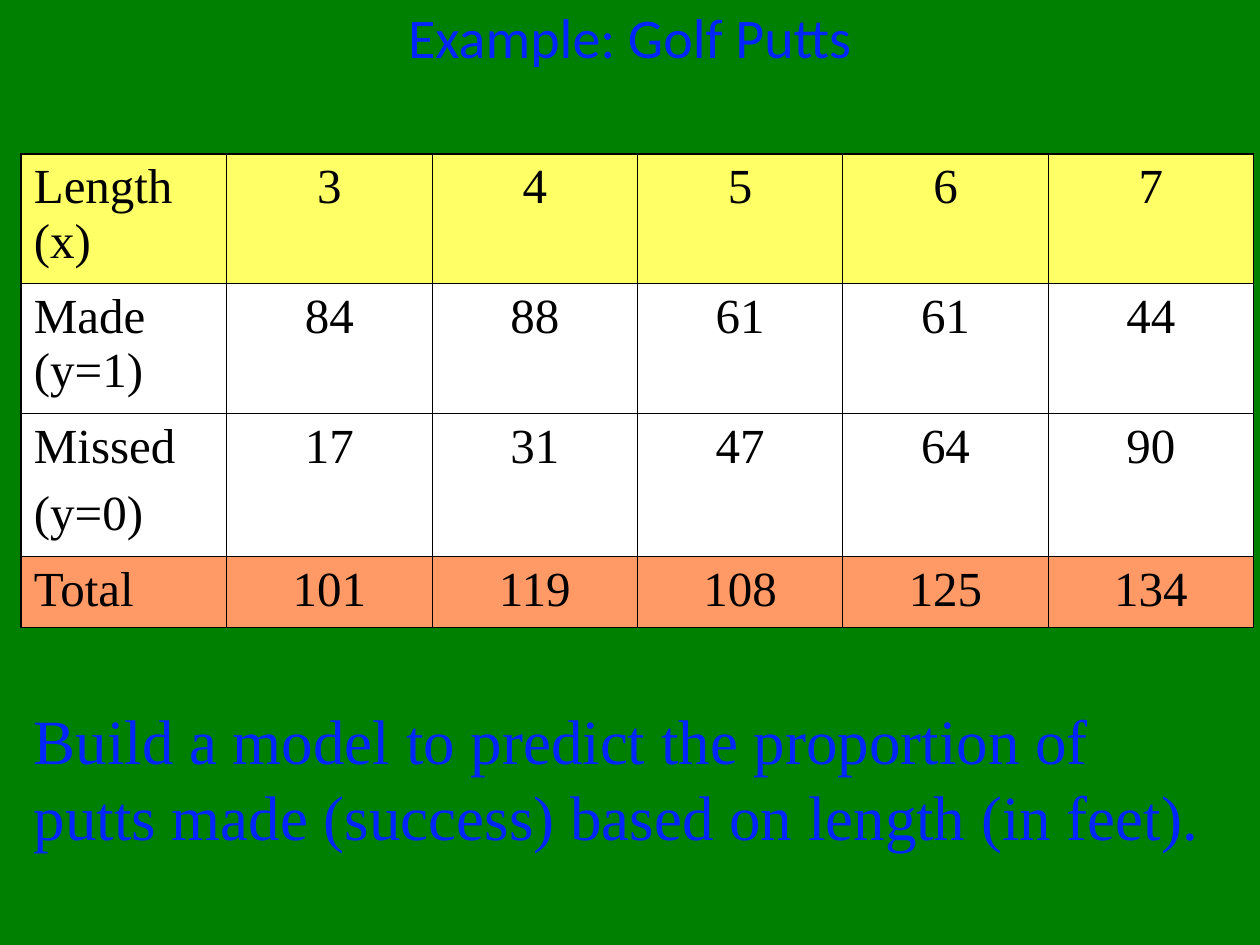
from dataclasses import dataclass

from lxml.etree import SubElement
from pptx import Presentation
from pptx.dml.color import RGBColor
from pptx.enum.text import MSO_ANCHOR, MSO_AUTO_SIZE, PP_ALIGN
from pptx.oxml.ns import qn
from pptx.util import Cm, Pt

GREEN = RGBColor(0x00, 0x80, 0x00)
BLUE = RGBColor(0x01, 0x25, 0xFF)
BLACK = RGBColor(0x00, 0x00, 0x00)
WHITE = RGBColor(0xFF, 0xFF, 0xFF)
YELLOW = RGBColor(0xFF, 0xFF, 0x66)
ORANGE = RGBColor(0xFF, 0x99, 0x66)
SERIF = "Times New Roman"
THIN, THICK = Pt(0.45), Pt(1.08)


@dataclass
class PuttRow:
    label: str
    counts: tuple[int, ...]
    fill: RGBColor
    height: Cm


PUTT_ROWS = [
    PuttRow("Length (x)", (3, 4, 5, 6, 7), YELLOW, Cm(2.62)),
    PuttRow("Made (y=1)", (84, 88, 61, 61, 44), WHITE, Cm(2.62)),
    PuttRow("Missed\n(y=0)", (17, 31, 47, 64, 90), WHITE, Cm(2.87)),
    PuttRow("Total", (101, 119, 108, 125, 134), ORANGE, Cm(1.44)),
]
COLUMN_COUNT = 1 + len(PUTT_ROWS[0].counts)
COLUMN_WIDTH = Cm(4.14)


def write_text(frame, text: str, *, size: float, font: str = SERIF,
               color: RGBColor = BLACK, align=PP_ALIGN.LEFT, gap: float = 0) -> None:
    """Fill a text frame, one paragraph a line, with a gap between paragraphs."""
    for index, line in enumerate(text.split("\n")):
        para = frame.add_paragraph() if index else frame.paragraphs[0]
        para.alignment = align
        para.space_before = Pt(gap if index else 0)
        span = para.add_run()
        span.text = line
        span.font.size = Pt(size)
        span.font.name = font
        span.font.color.rgb = color


def set_borders(cell, **widths: int) -> None:
    """Draw black cell borders; keywords are L, R, T and B, in that order."""
    properties = cell._tc.get_or_add_tcPr()
    for position, (side, width) in enumerate(widths.items()):
        line = SubElement(properties, qn(f"a:ln{side}"), w=str(width))
        fill = SubElement(line, qn("a:solidFill"))
        SubElement(fill, qn("a:srgbClr"), val=str(BLACK))
        properties.insert(position, line)  # borders come before the fill


def add_putt_table(page, rows: list[PuttRow]) -> None:
    table = page.shapes.add_table(
        len(rows), COLUMN_COUNT, Cm(0.43), Cm(3.1),
        COLUMN_WIDTH * COLUMN_COUNT, sum(row.height for row in rows)).table
    for column in table.columns:
        column.width = COLUMN_WIDTH
    last_row, last_column = len(rows) - 1, COLUMN_COUNT - 1
    for r, row in enumerate(rows):
        table.rows[r].height = row.height
        for c, value in enumerate((row.label, *row.counts)):
            cell = table.cell(r, c)
            cell.fill.solid()
            cell.fill.fore_color.rgb = row.fill
            write_text(cell.text_frame, str(value), size=28, gap=7,
                       align=PP_ALIGN.CENTER if c else PP_ALIGN.LEFT)
            set_borders(cell,
                        L=THIN if c else THICK,
                        R=THICK if c == last_column else THIN,
                        T=THIN if r else THICK,
                        B=THICK if r == last_row else THIN)


def main() -> None:
    deck = Presentation()
    deck.slide_width, deck.slide_height = Cm(25.4), Cm(19.05)
    page = deck.slides.add_slide(deck.slide_layouts[5])
    page.background.fill.solid()
    page.background.fill.fore_color.rgb = GREEN

    # Title
    title = page.shapes.title
    title.left, title.top, title.width, title.height = Cm(1.9), Cm(0), Cm(21.6), Cm(1.47)
    title.text_frame.vertical_anchor = MSO_ANCHOR.MIDDLE
    title.text_frame.auto_size = MSO_AUTO_SIZE.NONE
    write_text(title.text_frame, "Example: Golf Putts", size=32, font="Calibri",
               color=BLUE, align=PP_ALIGN.CENTER)

    # Putts by length
    add_putt_table(page, PUTT_ROWS)

    # Task
    box = page.shapes.add_textbox(Cm(0.43), Cm(14.02), Cm(24.33), Cm(3.3))
    box.text_frame.word_wrap = True
    box.text_frame.auto_size = MSO_AUTO_SIZE.SHAPE_TO_FIT_TEXT
    write_text(box.text_frame,
               "Build a model to predict the proportion of putts made (success) "
               "based on length (in feet).", size=36, color=BLUE)

    deck.save("out.pptx")


if __name__ == "__main__":
    main()
